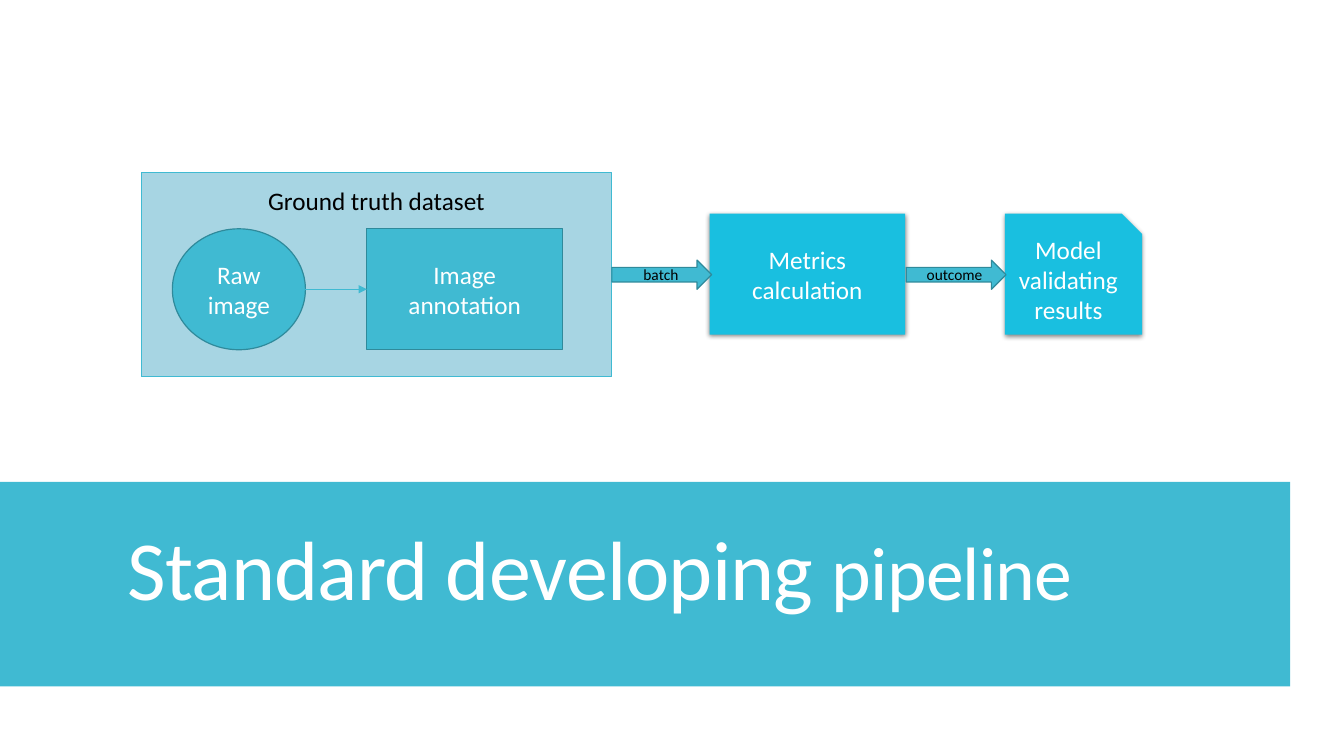
from dataclasses import dataclass
from typing import Optional

from lxml import etree
from pptx import Presentation
from pptx import util as u
from pptx.dml.color import RGBColor
from pptx.enum import shapes, text
from pptx.oxml import ns

# Grid: 160 columns by 90 rows of square cells
COLS, ROWS = 160, 90
CELL = u.Inches(1) / 12
FONT = "Calibri"
HEX = {
    "teal": "40BAD2",
    "edge": "2F8A9B",
    "pale": "A7D5E3",
    "cyan": "19BFE0",
    "white": "FFFFFF",
    "black": "000000",
}
KIND = shapes.MSO_SHAPE


@dataclass
class Box:
    kind: int
    x: float
    y: float
    w: float
    h: float
    fill: str = "teal"
    line: Optional[str] = None
    thick: float = 0.85
    label: str = ""
    ink: str = "white"
    top: Optional[float] = None
    shade: bool = False


@dataclass
class Link:
    x: float
    label: str
    w: float


def cells(*nums: float) -> list:
    return [u.Emu(round(n * CELL)) for n in nums]


def color(name: str) -> RGBColor:
    return RGBColor.from_string(HEX[name])


def style(par, ink: str, size: Optional[float] = None) -> None:
    par.font.name = FONT
    par.font.color.rgb = color(ink)
    if size:
        par.font.size = u.Pt(size)


def add_shade(shape) -> None:
    fx = shape._element.spPr.find(ns.qn("a:effectLst"))
    cast = etree.SubElement(
        fx, ns.qn("a:outerShdw"), blurRad=str(u.Pt(3.5)), dist=str(u.Pt(1.1)),
        dir="5400000", algn="ctr", rotWithShape="0")
    tone = etree.SubElement(cast, ns.qn("a:srgbClr"), val=HEX["black"])
    etree.SubElement(tone, ns.qn("a:alpha"), val="45000")


def add_box(slide, box: Box) -> None:
    shape = slide.shapes.add_shape(box.kind, *cells(box.x, box.y, box.w, box.h))
    shape.shadow.inherit = False
    shape.fill.solid()
    shape.fill.fore_color.rgb = color(box.fill)
    if box.line:
        shape.line.color.rgb = color(box.line)
        shape.line.width = u.Pt(box.thick)
    else:
        shape.line.fill.background()
    if box.shade:
        add_shade(shape)
    if box.label:
        frame = shape.text_frame
        frame.word_wrap = True
        frame.vertical_anchor = text.MSO_ANCHOR.MIDDLE
        if box.top is not None:
            frame.vertical_anchor = text.MSO_ANCHOR.TOP
            frame.margin_top = cells(box.top)[0]
        par = frame.paragraphs[0]
        par.text = box.label
        par.alignment = text.PP_ALIGN.CENTER
        style(par, box.ink, 18)


def add_link(slide, link: Link) -> None:
    y, wide, high = 30.96, 11.88, 3.48
    add_box(slide, Box(KIND.RIGHT_ARROW, link.x, y, wide, high, line="edge"))
    left = link.x + (wide - link.w) / 2
    frame = slide.shapes.add_textbox(*cells(left, y, link.w, high)).text_frame
    frame.word_wrap = False
    frame.auto_size = text.MSO_AUTO_SIZE.SHAPE_TO_FIT_TEXT
    par = frame.paragraphs[0]
    par.text = link.label
    style(par, "black", 11)


def add_arrow(slide, x: float, y: float, end: float) -> None:
    line = slide.shapes.add_connector(
        shapes.MSO_CONNECTOR.STRAIGHT, *cells(x, y, end, y))
    line.line.color.rgb = color("teal")
    line.line.width = u.Pt(0.75)
    etree.SubElement(line.line._get_or_add_ln(), ns.qn("a:tailEnd"), type="triangle")
    etree.SubElement(line._element.spPr, ns.qn("a:effectLst"))


def add_title(slide) -> None:
    frame = slide.shapes.add_textbox(*cells(14.04, 60.24, 134.04, 14.04)).text_frame
    frame.word_wrap = True
    frame.vertical_anchor = text.MSO_ANCHOR.BOTTOM
    par = frame.paragraphs[0]
    par.line_spacing = 0.9
    style(par, "white")
    for words, size in (("Standard developing ", 60), ("pipeline", 54)):
        run = par.add_run()
        run.text = words
        run.font.size = u.Pt(size)
        run._r.get_or_add_rPr().set("spc", "-60")


# Stages share one height and sit on two rows
HIGH, WIDE = 14.4, 23.28
TRUTH, MODEL = 27.24, 25.44
RAW, NOTE = 20.52, 43.68
BAND = 24.36

BOXES = [
    Box(KIND.RECTANGLE, 16.8, 20.52, 56.04, BAND, "pale", "teal", 0.75,
        "Ground truth dataset", "black", top=1.6),
    Box(KIND.RECTANGLE, 0, 57.36, 153.6, BAND),
    Box(KIND.RECTANGLE, NOTE, TRUTH, WIDE, HIGH, line="edge",
        label="Image annotation"),
    Box(KIND.OVAL, RAW, TRUTH, 15.84, HIGH, line="edge", label="Raw image"),
    Box(KIND.RECTANGLE, 84.48, MODEL, WIDE, HIGH, "cyan",
        label="Metrics calculation", shade=True),
    Box(KIND.SNIP_1_RECTANGLE, 119.64, MODEL, 16.32, HIGH, "cyan",
        label="Model validating results", shade=True),
]
LINKS = [Link(72.84, "batch", 6.72), Link(107.88, "outcome", 9.36)]


def main() -> None:
    deck = Presentation()
    deck.slide_width, deck.slide_height = cells(COLS, ROWS)
    slide = deck.slides.add_slide(deck.slide_layouts[6])

    # Stages and title band
    for box in BOXES:
        add_box(slide, box)
    add_title(slide)

    # Flow between stages
    for link in LINKS:
        add_link(slide, link)
    add_arrow(slide, RAW + 15.84, TRUTH + HIGH / 2, NOTE)

    deck.save("out.pptx")


if __name__ == "__main__":
    main()
